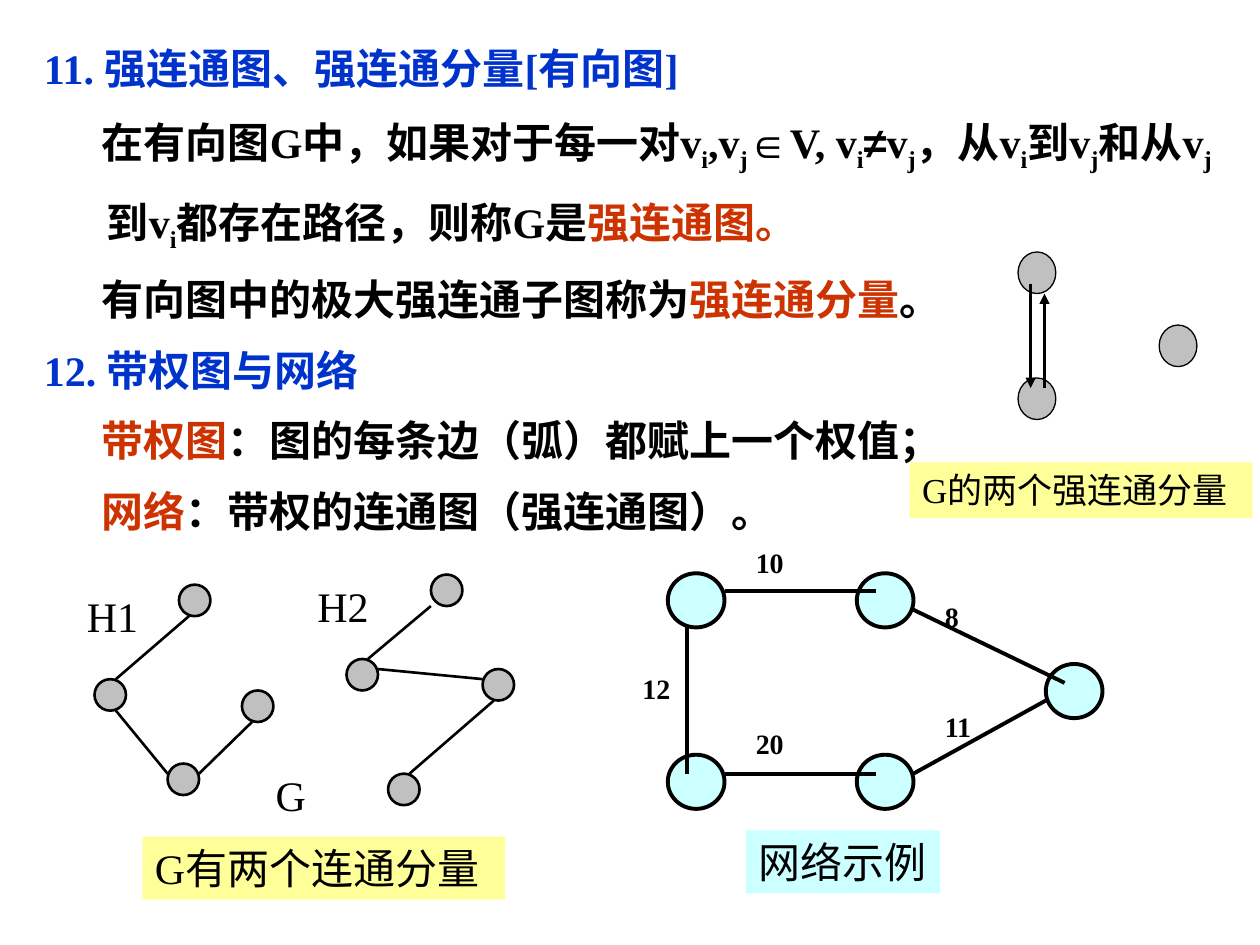
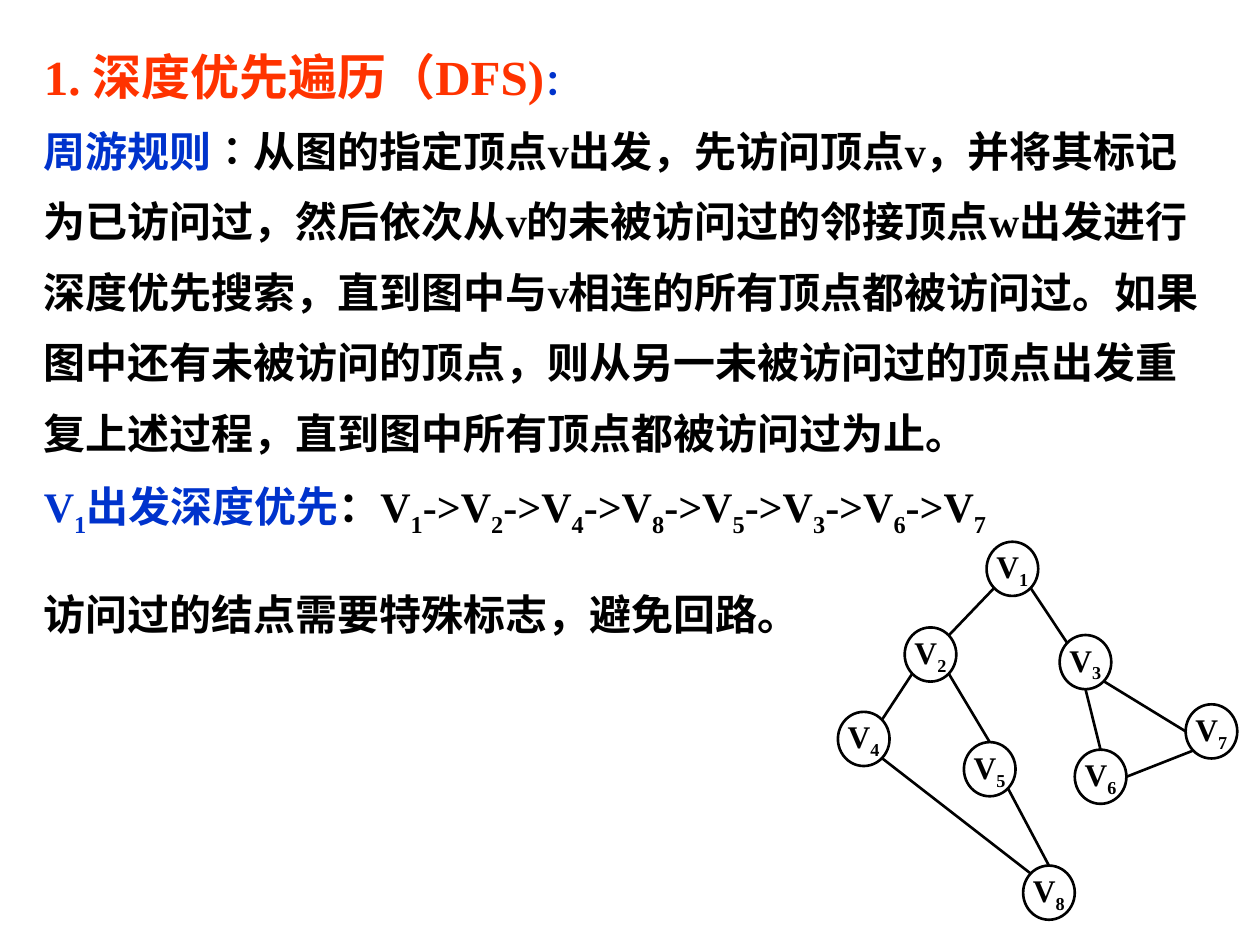
from dataclasses import dataclass
from math import copysign, sqrt
from typing import NamedTuple

from lxml.etree import SubElement
from pptx import Presentation
from pptx.dml.color import RGBColor
from pptx.enum.shapes import MSO_CONNECTOR, MSO_SHAPE
from pptx.enum.text import MSO_ANCHOR, MSO_AUTO_SIZE, PP_ALIGN
from pptx.oxml.ns import qn
from pptx.util import Inches, Pt

BLACK, BLUE, RUST, RED = "000000", "0033CC", "CC3300", "FF3300"
GREY, CYAN, YELLOW = "C0C0C0", "CCFFFF", "FFFF99"
SERIF, SANS = "Times New Roman", "Arial"
LINE_SPACING = 1.4


class Span(NamedTuple):
    """Text in one style; the character after each "_" is a subscript."""
    text: str
    color: str = BLACK
    size: int = 24
    font: str = SERIF
    bold: bool = True


@dataclass
class Para:
    spans: list[Span]
    left: float = 0
    first: float = 0
    format: dict | None = None


class Label(NamedTuple):
    text: str
    left: float
    top: float
    width: float
    height: float
    size: int = 24
    bold: bool = False
    fill: str | None = None


class Dot(NamedTuple):
    """Look of the vertices of one graph."""
    width: float
    height: float
    fill: str | None
    line: float


class Edge(NamedTuple):
    x1: float
    y1: float
    x2: float
    y2: float


def rgb(color: str) -> RGBColor:
    return RGBColor.from_string(color)


def add_span(paragraph, span: Span) -> None:
    head, *tails = span.text.split("_")
    pieces = [(head, False)]
    for tail in tails:
        pieces += [(tail[:1], True), (tail[1:], False)]
    for text, subscript in pieces:
        if not text:
            continue
        run = paragraph.add_run()
        run.text = text
        style = {"size": Pt(span.size), "bold": span.bold, "name": span.font}
        for name, value in style.items():
            setattr(run.font, name, value)
        run.font.color.rgb = rgb(span.color)
        if subscript:
            run.font._element.set("baseline", "-25000")


def fill_text(frame, paras: list[Para], **settings) -> None:
    for name, value in settings.items():
        setattr(frame, name, value)
    for index, para in enumerate(paras):
        paragraph = frame.paragraphs[0] if index == 0 else frame.add_paragraph()
        properties = paragraph._p.get_or_add_pPr()
        properties.set("marL", str(Inches(para.left)))
        properties.set("indent", str(Inches(para.first)))
        properties.set("hangingPunct", "0")
        for name, value in (para.format or {}).items():
            setattr(paragraph, name, value)
        for span in para.spans:
            add_span(paragraph, span)


def add_body(page, width: float, height: float, paras: list[Para]) -> None:
    box = page.shapes.add_textbox(Inches(0.25), Inches(0.13), Inches(width), Inches(height))
    fill_text(box.text_frame, paras, word_wrap=True, auto_size=MSO_AUTO_SIZE.SHAPE_TO_FIT_TEXT)


def add_label(page, label: Label) -> None:
    box = page.shapes.add_textbox(*map(Inches, label[1:5]))
    if label.fill:
        box.fill.solid()
        box.fill.fore_color.rgb = rgb(label.fill)
    span = Span(label.text, size=label.size, bold=label.bold)
    fill_text(box.text_frame, [Para([span])], word_wrap=False,
              auto_size=MSO_AUTO_SIZE.SHAPE_TO_FIT_TEXT)


def add_dot(page, dot: Dot, left: float, top: float, name: str = "") -> None:
    shape = page.shapes.add_shape(MSO_SHAPE.OVAL, Inches(left), Inches(top),
                                  Inches(dot.width), Inches(dot.height))
    shape.shadow.inherit = False
    if dot.fill:
        shape.fill.solid()
        shape.fill.fore_color.rgb = rgb(dot.fill)
    else:
        shape.fill.background()
    shape.line.color.rgb = rgb(BLACK)
    shape.line.width = Pt(dot.line)
    if name:
        para = Para([Span(name, size=18)], format={"alignment": PP_ALIGN.CENTER})
        fill_text(shape.text_frame, [para], word_wrap=False, vertical_anchor=MSO_ANCHOR.MIDDLE)


def add_edge(page, edge: Edge, width: float = 1.5, arrow: bool = False) -> None:
    line = page.shapes.add_connector(MSO_CONNECTOR.STRAIGHT, *map(Inches, edge))
    line.line.color.rgb = rgb(BLACK)
    line.line.width = Pt(width)
    if arrow:
        SubElement(line.line._get_or_add_ln(), qn("a:tailEnd"), type="triangle")
    SubElement(line._element.spPr, qn("a:effectLst"))


def add_graph(page, dot: Dot, places: list[tuple], edges: list[Edge],
              width: float = 1.5, arrow: bool = False) -> None:
    for left, top in places:
        add_dot(page, dot, left, top)
    for edge in edges:
        add_edge(page, edge, width, arrow)


def rim_point(dot: Dot, place: tuple, across: int, down: int) -> tuple[float, float]:
    """Point on a vertex outline in one of eight directions."""
    reach = 1 / sqrt(across ** 2 + down ** 2)
    left, top = place
    return (left + dot.width / 2 * (1 + copysign(reach, across) * abs(across)),
            top + dot.height / 2 * (1 + copysign(reach, down) * abs(down)))


def heading(text: str) -> Para:
    return Para([Span(text, BLUE)], 0.5, -0.5, {"line_spacing": LINE_SPACING})


def detail(*spans: Span) -> Para:
    return Para(list(spans), 0.5, -0.04, {"line_spacing": LINE_SPACING})


def build_components(page) -> None:
    add_body(page, 9.5, 4.18, [
        heading("11. 强连通图、强连通分量[有向图]"),
        detail(Span("在有向图G中，如果对于每一对v_i,v_j"), Span("∈", font=SANS),
               Span("V, v_i"), Span("≠", font=SANS),
               Span("v_j，从v_i到v_j和从v_j到v_i都存在路径，则称G是"),
               Span("强连通图。", RUST)),
        detail(Span("有向图中的极大强连通子图称为"), Span("强连通分量", RUST), Span("。")),
        heading("12. 带权图与网络"),
        detail(Span("带权图", RUST), Span("：图的每条边（弧）都赋上一个权值；")),
        detail(Span("网络", RUST), Span("：带权的连通图（强连通图）。")),
    ])

    network = [(left, top) for top in (4.55, 5.99) for left in (5.3, 6.8)] + [(8.3, 5.27)]
    add_graph(page, Dot(0.45, 0.43, CYAN, 2.25), network, [
        Edge(5.45, 4.98, 5.45, 6.14),
        Edge(5.75, 4.69, 6.95, 4.69),
        Edge(5.75, 6.14, 6.95, 6.14),
        Edge(7.25, 4.84, 8.45, 5.42),
        Edge(7.25, 6.14, 8.3, 5.56),
    ], width=2.25)
    weights = [("10", 5.9, 4.28), ("20", 5.9, 5.72), ("12", 5, 5.28),
               ("8", 7.4, 4.71), ("11", 7.4, 5.58)]
    for text, left, top in weights:
        add_label(page, Label(text, left, top, 0.2 + 0.11 * len(text), 0.37, 16, True))

    forest = [(1.42, 4.64), (0.75, 5.39), (1.33, 6.06), (1.92, 5.48),
              (3.42, 4.56), (2.75, 5.23), (3.83, 5.31), (3.08, 6.14)]
    add_graph(page, Dot(0.25, 0.25, GREY, 1.5), forest, [
        Edge(1.5, 4.89, 0.92, 5.39),
        Edge(0.92, 5.64, 1.33, 6.14),
        Edge(1.58, 6.14, 2, 5.73),
        Edge(3.42, 4.81, 2.92, 5.23),
        Edge(3, 5.31, 3.83, 5.39),
        Edge(3.92, 5.56, 3.25, 6.14),
    ])

    strong = [(8.08, 2), (8.08, 3), (9.2, 2.58)]
    add_graph(page, Dot(0.3, 0.33, GREY, 0.75), strong, [
        Edge(8.18, 2.25, 8.18, 3.08),
        Edge(8.29, 3.08, 8.29, 2.33),
    ], arrow=True)

    for label in [
        Label("H1", 0.59, 4.64, 0.61, 0.5),
        Label("H2", 2.42, 4.56, 0.61, 0.5),
        Label("G", 2.09, 6.06, 0.44, 0.5),
        Label("G有两个连通分量", 1.13, 6.64, 2.88, 0.5, fill=YELLOW),
        Label("G的两个强连通分量", 7.22, 3.67, 2.72, 0.44, 20, fill=YELLOW),
        Label("网络示例", 5.92, 6.59, 1.54, 0.5, fill=CYAN),
    ]:
        add_label(page, label)


def build_depth_first(page) -> None:
    spaced = {"line_spacing": LINE_SPACING}
    visits = "->".join(f"V_{number}" for number in (1, 2, 4, 8, 5, 3, 6, 7))
    rule = ("∶从图的指定顶点v出发，先访问顶点v，并将其标记为已访问过，"
            "然后依次从v的未被访问过的邻接顶点w出发进行深度优先搜索，"
            "直到图中与v相连的所有顶点都被访问过。如果图中还有未被访问的顶点，"
            "则从另一未被访问过的顶点出发重复上述过程，直到图中所有顶点都被访问过为止。")
    add_body(page, 9.42, 5.05, [
        Para([Span("1. 深度优先遍历（DFS)", RED, 28), Span("：", BLUE, 20)], format=spaced),
        Para([Span("周游规则", BLUE), Span(rule)], format=spaced),
        Para([Span("V_1出发深度优先", BLUE), Span("：" + visits)], format=spaced),
        Para([Span("访问过的结点需要特殊标志，避免回路。")], format={"space_before": Pt(29)}),
    ])

    dot = Dot(0.41, 0.43, None, 1.5)
    places = {1: (7.83, 4.3), 2: (7.18, 4.98), 3: (8.41, 5.04), 4: (6.65, 5.65),
              5: (7.65, 5.89), 6: (8.53, 5.95), 7: (9.41, 5.59), 8: (8.12, 6.87)}
    for number, place in places.items():
        add_dot(page, dot, *place, name=f"V_{number}")

    top, bottom, left, right = (0, -1), (0, 1), (-1, 0), (1, 0)
    top_left, top_right, bottom_left, bottom_right = (-1, -1), (1, -1), (-1, 1), (1, 1)
    links = [
        (1, bottom_left, 2, top_right), (2, bottom_left, 4, top_right),
        (1, bottom_right, 3, top_left), (4, bottom_right, 8, top_left),
        (2, bottom_right, 5, top), (5, bottom_right, 8, top),
        (3, bottom, 6, top), (3, bottom_right, 7, left),
        (6, right, 7, bottom_left),
    ]
    for start, leaving, end, entering in links:
        add_edge(page, Edge(*rim_point(dot, places[start], *leaving),
                            *rim_point(dot, places[end], *entering)))


def main() -> None:
    deck = Presentation()
    deck.slide_width, deck.slide_height = Inches(10), Inches(7.5)
    for build in (build_components, build_depth_first):
        build(deck.slides.add_slide(deck.slide_layouts[6]))
    deck.save("out.pptx")


if __name__ == "__main__":
    main()
